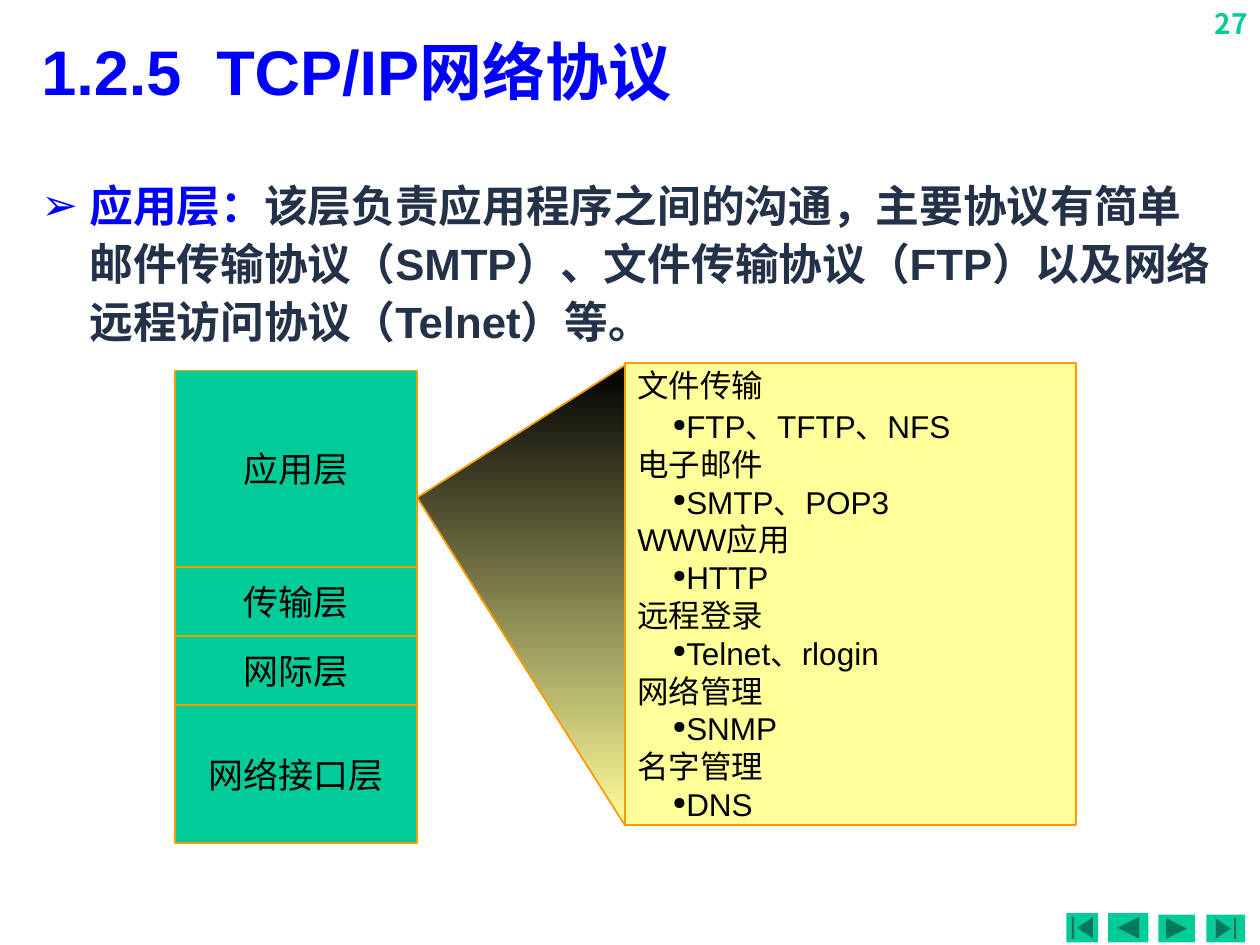
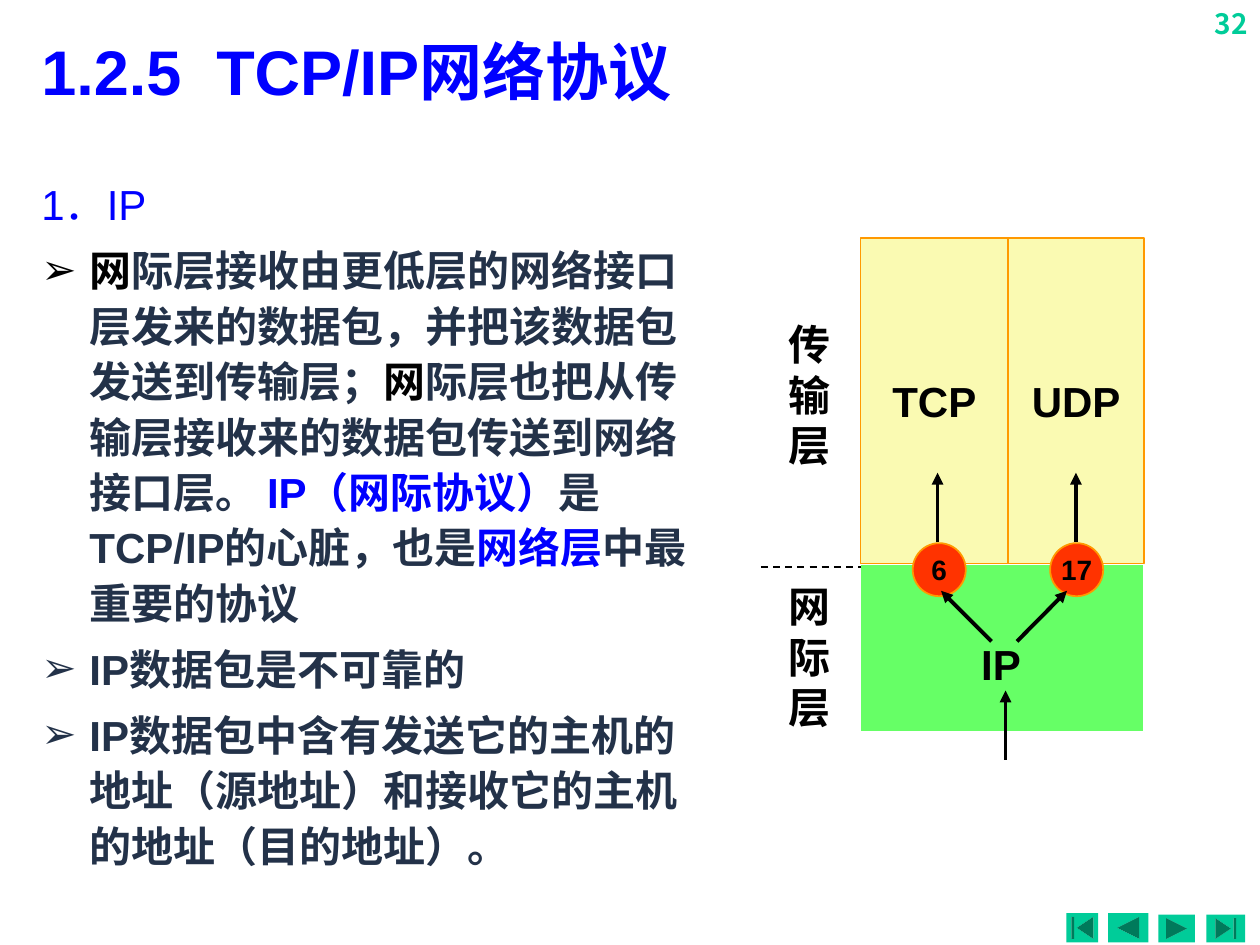
from itertools import accumulate
from lxml import etree
from pptx import Presentation
from pptx import util as u
from pptx.dml.color import RGBColor
from pptx.enum import dml, shapes, text
from pptx.oxml import ns

BLUE = RGBColor(0x00, 0x00, 0xFF)
NAVY = RGBColor(0x23, 0x32, 0x49)
BLACK = RGBColor(0x00, 0x00, 0x00)
WHITE = RGBColor(0xFF, 0xFF, 0xFF)
TEAL = RGBColor(0x00, 0xCC, 0x99)
ORANGE = RGBColor(0xFF, 0x99, 0x00)
YELLOW = RGBColor(0xFF, 0xFF, 0x99)
CREAM = RGBColor(0xFA, 0xFA, 0xB2)
GREEN = RGBColor(0x66, 0xFF, 0x66)
RED = RGBColor(0xFF, 0x33, 0x00)


def write(paragraph, pieces, size, bold=False, font="Arial"):
    for words, color in pieces:
        run = paragraph.add_run()
        run.text = words
        run.font.name = font
        run.font.size = u.Pt(size)
        run.font.bold = bold
        run.font.color.rgb = color


def set_bullet(paragraph, mark, color, left, hang, percent=100):
    props = paragraph._p.get_or_add_pPr()
    props.set("marL", str(u.Cm(left)))
    props.set("indent", str(-u.Cm(hang)))
    if not mark:
        etree.SubElement(props, ns.qn("a:buNone"))
        return
    tint = etree.SubElement(props, ns.qn("a:buClr"))
    etree.SubElement(tint, ns.qn("a:srgbClr"), val=str(color))
    etree.SubElement(props, ns.qn("a:buSzPct"), val=str(percent * 1000))
    etree.SubElement(props, ns.qn("a:buChar"), char=mark)


deck = Presentation()
deck.slide_width, deck.slide_height = u.Cm(25.4), u.Cm(19.05)

SHAPE = shapes.MSO_SHAPE
nav_buttons = [
    (SHAPE.ACTION_BUTTON_BEGINNING, 21.5, 18.41, 0.64, 0.59),
    (SHAPE.ACTION_BUTTON_BACK_OR_PREVIOUS, 22.34, 18.41, 0.81, 0.59),
    (SHAPE.ACTION_BUTTON_FORWARD_OR_NEXT, 23.35, 18.44, 0.74, 0.56),
    (SHAPE.ACTION_BUTTON_END, 24.32, 18.44, 0.78, 0.56),
]
application_points = [
    ("➢", True, [
        ("应用层：", BLUE),
        ("该层负责应用程序之间的沟通，主要协议有简单邮件传输协议（SMTP）、"
         "文件传输协议（FTP）以及网络远程访问协议（Telnet）等。", NAVY),
    ]),
]
ip_points = [
    (None, False, [("1．IP", BLUE)]),
    ("➢", True, [
        ("网", BLACK),
        ("际层接收由更低层的网络接口层发来的数据包，并把该数据包发送到传输层；", NAVY),
        ("网", BLACK),
        ("际层也把从传输层接收来的数据包传送到网络接口层。 ", NAVY),
        ("IP（网际协议）", BLUE),
        ("是TCP/IP的心脏，也是", NAVY),
        ("网络层", BLUE),
        ("中最重要的协议", NAVY),
    ]),
    ("➢", True, [("IP数据包是不可靠的", NAVY)]),
    ("➢", True, [("IP数据包中含有发送它的主机的地址（源地址）"
                  "和接收它的主机的地址（目的地址）。", NAVY)]),
]
pages = [("27", 24.31, 25, application_points), ("32", 13.94, 24, ip_points)]

for number, body_width, size, points in pages:
    slide = deck.slides.add_slide(deck.slide_layouts[1])

    corner = slide.shapes.add_textbox(u.Cm(24), u.Cm(0), u.Cm(1.4), u.Cm(1.07))
    corner.text_frame.word_wrap = True
    corner.text_frame.paragraphs[0].alignment = text.PP_ALIGN.RIGHT
    write(corner.text_frame.paragraphs[0], [(number, TEAL)], 16, True, "Noto Sans CJK KR")

    for kind, *area in nav_buttons:
        button = slide.shapes.add_shape(kind, *map(u.Cm, area))
        button.shadow.inherit = False
        button.fill.solid()
        button.fill.fore_color.rgb = TEAL
        button.line.fill.background()

    title, body = slide.placeholders
    title.left, title.top, title.width, title.height = map(u.Cm, (0.58, 0.48, 24.18, 1.88))
    title.text_frame.auto_size = text.MSO_AUTO_SIZE.NONE
    title.text_frame.vertical_anchor = text.MSO_ANCHOR.MIDDLE
    title.text_frame.paragraphs[0].alignment = text.PP_ALIGN.LEFT
    write(title.text_frame.paragraphs[0], [("1.2.5  TCP/IP网络协议", BLUE)], 36, True)

    body.left, body.top, body.width, body.height = map(u.Cm, (0.58, 3.38, body_width, 14.43))
    body.text_frame.auto_size = text.MSO_AUTO_SIZE.NONE
    for index, (mark, bold, pieces) in enumerate(points):
        point = body.text_frame.add_paragraph() if index else body.text_frame.paragraphs[0]
        point.line_spacing = 1.1
        point.space_before = u.Pt(6)
        set_bullet(point, mark, pieces[0][1], 0.97, 0.97)
        write(point, pieces, size, bold)

layers_slide, ip_slide = deck.slides

layer_names = ["应用层", "传输层", "网际层", "网络接口层"]
layer_heights = [3.96, 1.39, 1.39, 2.79]
layer_tops = accumulate(layer_heights[:-1], initial=7.47)
blocks = [
    (layers_slide, SHAPE.RECTANGLE, (3.53, top, 4.88, height), TEAL, ORANGE, name, 20, False)
    for name, top, height in zip(layer_names, layer_tops, layer_heights)
]
blocks += [
    (ip_slide, SHAPE.RECTANGLE, (17.35, 11.38, 5.72, 3.38), GREEN, WHITE, "", 24, True),
    (ip_slide, SHAPE.RECTANGLE, (17.35, 4.8, 2.97, 6.56), CREAM, ORANGE, "TCP", 24, True),
    (ip_slide, SHAPE.RECTANGLE, (20.32, 4.8, 2.75, 6.56), CREAM, ORANGE, "UDP", 24, True),
    (ip_slide, SHAPE.OVAL, (18.4, 10.95, 1.07, 1.07), RED, ORANGE, "6", 16, True),
    (ip_slide, SHAPE.OVAL, (21.17, 10.95, 1.07, 1.07), RED, ORANGE, "17", 16, True),
    (layers_slide, SHAPE.RECTANGLE, (12.6, 7.32, 9.09, 9.32), YELLOW, ORANGE, "", 18, False),
]
for slide, kind, area, fill, edge, label, size, bold in blocks:
    block = slide.shapes.add_shape(kind, *map(u.Cm, area))
    block.shadow.inherit = False
    block.fill.solid()
    block.fill.fore_color.rgb = fill
    block.line.color.rgb = edge
    block.line.width = u.Pt(1)
    block.text_frame.word_wrap = False
    block.text_frame.vertical_anchor = text.MSO_ANCHOR.MIDDLE
    block.text_frame.paragraphs[0].alignment = text.PP_ALIGN.CENTER
    if label:
        write(block.text_frame.paragraphs[0], [(label, BLACK)], size, bold)

services = [
    ("文件传输", "FTP、TFTP、NFS"),
    ("电子邮件", "SMTP、POP3"),
    ("WWW应用", "HTTP"),
    ("远程登录", "Telnet、rlogin"),
    ("网络管理", "SNMP"),
    ("名字管理", "DNS"),
]
service_frame = block.text_frame
service_frame.word_wrap = True
for index, (service, protocols) in enumerate(services):
    heading = service_frame.add_paragraph() if index else service_frame.paragraphs[0]
    heading.alignment = text.PP_ALIGN.LEFT
    write(heading, [(service, BLACK)], 18)
    entry = service_frame.add_paragraph()
    entry.alignment = text.PP_ALIGN.LEFT
    entry.space_before = u.Pt(0 if index else 2)
    set_bullet(entry, "●", BLACK, 0.91, 0.2, 55)
    write(entry, [(protocols, BLACK)], 18)

outline = layers_slide.shapes.build_freeform(u.Cm(8.41), u.Cm(10.03))
outline.add_line_segments([(u.Cm(12.6), u.Cm(7.36)), (u.Cm(12.6), u.Cm(16.64))], close=True)
zoom = outline.convert_to_shape()
zoom.shadow.inherit = False
zoom.fill.gradient()
zoom.fill.gradient_angle = 270
for stop, color in zip(zoom.fill.gradient_stops, (BLACK, YELLOW)):
    stop.color.rgb = color
zoom.line.color.rgb = ORANGE
zoom.line.width = u.Pt(1)

ip_labels = [
    ("IP", 19.53, 12.75, 1.7, 1.27),
    ("传输层", 15.65, 6.3, 1.27, 3.3),
    ("网际层", 15.65, 11.58, 1.27, 3.3),
]
for label, *area in ip_labels:
    caption = ip_slide.shapes.add_textbox(*map(u.Cm, area))
    caption.text_frame.word_wrap = True
    write(caption.text_frame.paragraphs[0], [(label, BLACK)], 24, True)

paths = [
    (15.34, 11.43, 17.35, 11.43, False),
    (20.27, 15.32, 20.27, 13.92, True),
    (19.99, 12.93, 18.97, 11.91, True),
    (20.5, 12.93, 21.51, 11.91, True),
    (18.9, 10.92, 18.9, 9.53, True),
    (21.69, 10.92, 21.69, 9.53, True),
]
for *ends, is_arrow in paths:
    link = ip_slide.shapes.add_connector(shapes.MSO_CONNECTOR.STRAIGHT, *map(u.Cm, ends))
    link.line.color.rgb = BLACK
    link.line.width = u.Pt(2.25 if is_arrow else 1)
    if is_arrow:
        etree.SubElement(link.line._get_or_add_ln(), ns.qn("a:tailEnd"), type="triangle")
    else:
        link.line.dash_style = dml.MSO_LINE.DASH
    etree.SubElement(link._element.spPr, ns.qn("a:effectLst"))

deck.save("out.pptx")
